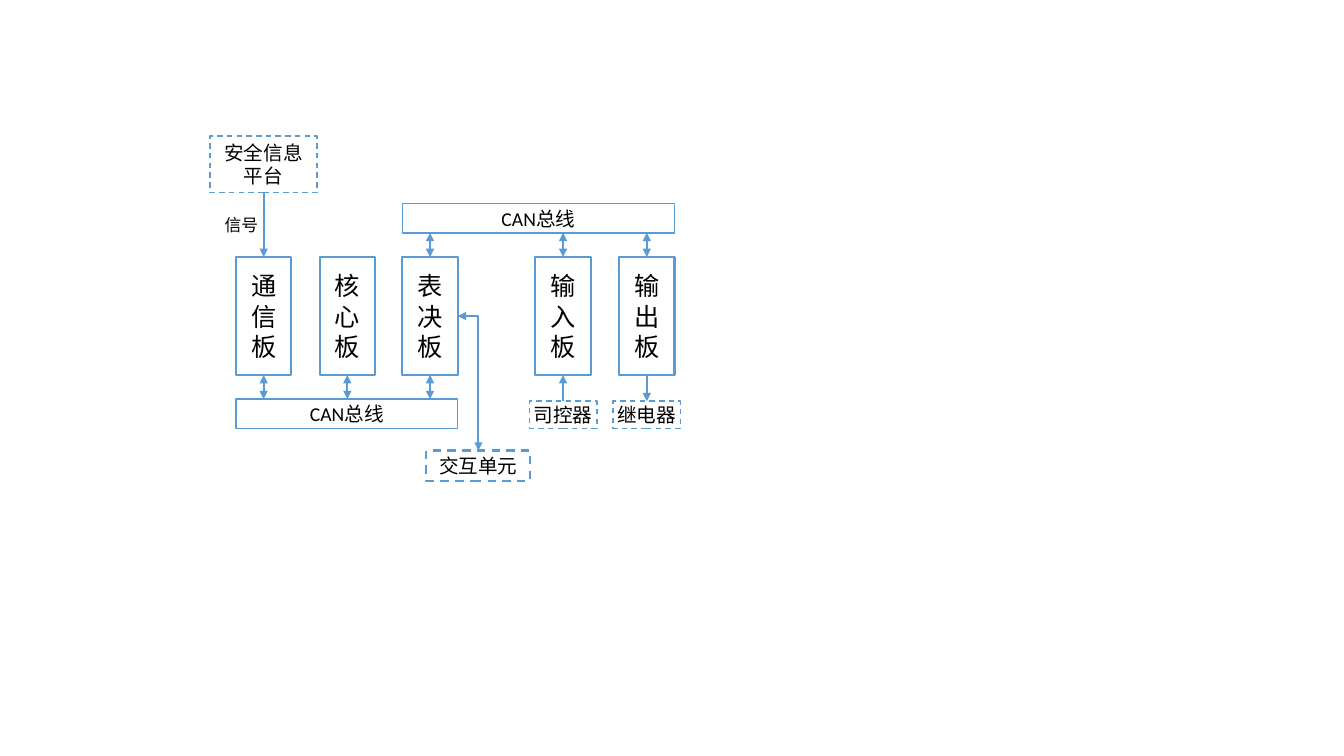
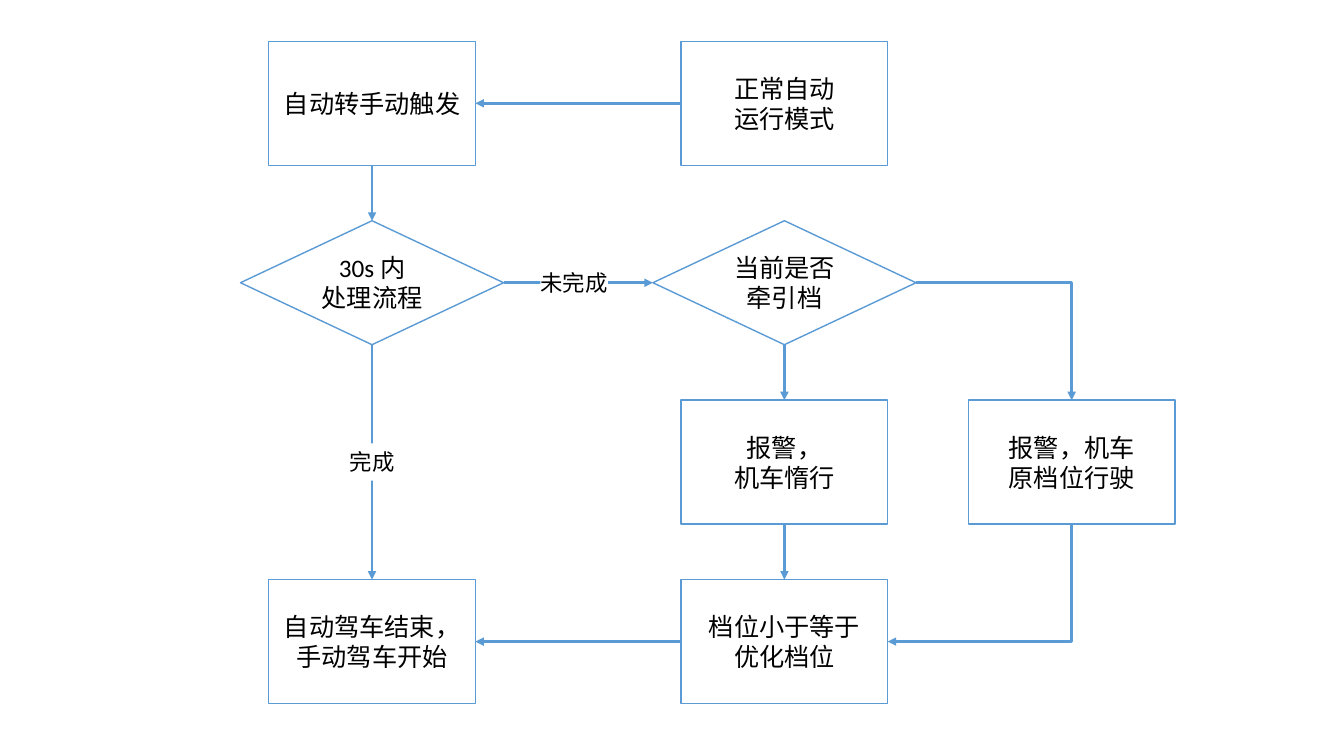
from lxml.etree import SubElement
from pptx import Presentation
from pptx.dml.color import RGBColor
from pptx.enum.dml import MSO_LINE
from pptx.enum.shapes import MSO_CONNECTOR, MSO_SHAPE
from pptx.enum.text import MSO_ANCHOR, MSO_AUTO_SIZE, PP_ALIGN
from pptx.oxml.ns import qn
from pptx.util import Inches, Pt

COLORS = {"line": "5B9BD5", "fill": "FFFFFF", "text": "000000"}
FONT = "Calibri"
TOP, LEFT, BOTTOM, RIGHT = range(4)

BOARDS = [("通信板", 2.34), ("核心板", 3.17), ("表决板", 3.99),
          ("输入板", 5.31), ("输出板", 6.14)]
BOARD_TOP, BOARD_WIDTH, BOARD_HEIGHT = 2.55, 0.55, 1.17
BUS_TEXT, BUS_HEIGHT = "CAN总线", 0.29
LOWER_BUS = (3.96, ["通信板", "核心板", "表决板"])
UPPER_BUS = (2.02, ["表决板", "输入板", "输出板"])
OUTER_UNITS = [
    ("安全信息平台", "通信板", 1.35, 1.06, 0.56, 0.1),
    ("司控器", "输入板", 3.98, 0.67, 0.27, 0.04),
    ("继电器", "输出板", 3.98, 0.67, 0.27, 0.04),
]
OUTER_LINKS = [
    ("安全信息平台", BOTTOM, "通信板", TOP),
    ("司控器", TOP, "输入板", BOTTOM),
    ("输出板", BOTTOM, "继电器", TOP),
]

COLUMN_CENTERS = [3.69, 7.78, 10.63]
FIRST_ROW, ROW_PITCH, STEP_HEIGHT = 0.41, 1.78, 1.23
STEP_WIDTH, DECISION_WIDTH = 2.05, 2.61
STEPS = {
    "trigger": (["自动转手动触发"], 0, 0),
    "normal": (["正常自动", "运行模式"], 1, 0),
    "handling": (["30s 内", "处理流程"], 0, 1),
    "traction": (["当前是否牵引档"], 1, 1),
    "coast": (["报警，", "机车惰行"], 1, 2),
    "hold": (["报警，机车", "原档位行驶"], 2, 2),
    "finish": (["自动驾车结束，手动驾车开始"], 0, 3),
    "limit": (["档位小于等于", "优化档位"], 1, 3),
}
DECISIONS = {"handling", "traction"}
FLOWS = [
    ("normal", LEFT, "trigger", RIGHT),
    ("trigger", BOTTOM, "handling", TOP),
    ("handling", BOTTOM, "finish", TOP),
    ("handling", RIGHT, "traction", LEFT),
    ("traction", BOTTOM, "coast", TOP),
    ("coast", BOTTOM, "limit", TOP),
    ("limit", LEFT, "finish", RIGHT),
]
FLOW_LABELS = [("未完成", 5.36, 2.62, 0.67), ("完成", 3.47, 4.4, 0.45)]


def color(name):
    return RGBColor.from_string(COLORS[name])


def write(frame, lines, size, align):
    frame.text = "\n".join(lines)
    for paragraph in frame.paragraphs:
        paragraph.alignment = align
        paragraph.font.size = Pt(size)
        paragraph.font.name = FONT
        paragraph.font.color.rgb = color("text")


def add_box(slide, lines, left, top, width, height, size, line_width=1,
            dashed=False, inset=0.1, preset=MSO_SHAPE.RECTANGLE):
    box = slide.shapes.add_shape(
        preset, Inches(left), Inches(top), Inches(width), Inches(height))
    box.shadow.inherit = False
    box.fill.solid()
    box.fill.fore_color.rgb = color("fill")
    box.line.color.rgb = color("line")
    box.line.width = Pt(line_width)
    if dashed:
        box.line.dash_style = MSO_LINE.DASH
    frame = box.text_frame
    frame.word_wrap = True
    frame.vertical_anchor = MSO_ANCHOR.MIDDLE
    frame.margin_left = frame.margin_right = Inches(inset)
    write(frame, lines, size, PP_ALIGN.CENTER)
    return box


def add_label(slide, text, left, top, width, height, size, inset=0.1, filled=False):
    label = slide.shapes.add_textbox(
        Inches(left), Inches(top), Inches(width), Inches(height))
    if filled:
        label.fill.solid()
        label.fill.fore_color.rgb = color("fill")
    frame = label.text_frame
    frame.word_wrap = False
    frame.auto_size = MSO_AUTO_SIZE.SHAPE_TO_FIT_TEXT
    frame.margin_left = frame.margin_right = Inches(inset)
    write(frame, [text], size, PP_ALIGN.LEFT)


def site(box, side):
    middle, center = box.left + box.width // 2, box.top + box.height // 2
    return {TOP: (middle, box.top), LEFT: (box.left, center),
            BOTTOM: (middle, box.top + box.height),
            RIGHT: (box.left + box.width, center)}[side]


def add_arrow(slide, start, end, width, ends=("tailEnd",), bent=False):
    kind = MSO_CONNECTOR.ELBOW if bent else MSO_CONNECTOR.STRAIGHT
    arrow = slide.shapes.add_connector(kind, *start, *end)
    arrow.line.color.rgb = color("line")
    arrow.line.width = Pt(width)
    properties = arrow.element.spPr
    if bent:
        properties.find(qn("a:prstGeom")).set("prst", "bentConnector2")
    outline = properties.find(qn("a:ln"))
    for end_name in ends:
        SubElement(outline, qn(f"a:{end_name}")).set("type", "triangle")
    SubElement(properties, qn("a:effectLst"))
    return arrow


def link(slide, source, source_side, target, target_side, width, **style):
    arrow = add_arrow(slide, site(source, source_side),
                      site(target, target_side), width, **style)
    arrow.begin_connect(source, source_side)
    arrow.end_connect(target, target_side)


def build_boards(slide):
    both = ("headEnd", "tailEnd")
    lefts = dict(BOARDS)
    units = {
        name: add_box(slide, [name], left, BOARD_TOP, BOARD_WIDTH,
                      BOARD_HEIGHT, 18, 1.5)
        for name, left in BOARDS
    }
    for (top, members), board_side, bus_side in (
            (LOWER_BUS, BOTTOM, TOP), (UPPER_BUS, TOP, BOTTOM)):
        left = lefts[members[0]]
        width = lefts[members[-1]] + BOARD_WIDTH - left
        bus = add_box(slide, [BUS_TEXT], left, top, width, BUS_HEIGHT, 14)
        for name in members:
            start = site(units[name], board_side)
            end = (start[0], site(bus, bus_side)[1])
            arrow = add_arrow(slide, start, end, 1.5, both)
            arrow.begin_connect(units[name], board_side)
    for name, board, top, width, height, inset in OUTER_UNITS:
        left = lefts[board] + (BOARD_WIDTH - width) / 2
        units[name] = add_box(slide, [name], left, top, width, height, 14,
                              dashed=True, inset=inset)
    for source, source_side, target, target_side in OUTER_LINKS:
        link(slide, units[source], source_side, units[target], target_side, 1.5)
    add_label(slide, "信号", 2.13, 2.08, 0.54, 0.3, 12)
    interaction = add_box(slide, ["交互单元"], 4.23, 4.47, 1.03, 0.3, 14, 1.5,
                          dashed=True)
    link(slide, units["表决板"], RIGHT, interaction, TOP, 1.5, ends=both, bent=True)


def build_flow(slide):
    steps = {}
    for name, (lines, column, row) in STEPS.items():
        decides = name in DECISIONS
        width = DECISION_WIDTH if decides else STEP_WIDTH
        preset = MSO_SHAPE.FLOWCHART_DECISION if decides else MSO_SHAPE.RECTANGLE
        steps[name] = add_box(
            slide, lines, COLUMN_CENTERS[column] - width / 2,
            FIRST_ROW + row * ROW_PITCH, width, STEP_HEIGHT, 18, preset=preset)
    for source, source_side, target, target_side in FLOWS:
        link(slide, steps[source], source_side, steps[target], target_side, 2)
    link(slide, steps["traction"], RIGHT, steps["hold"], TOP, 2, bent=True)
    link(slide, steps["limit"], RIGHT, steps["hold"], BOTTOM, 2,
         ends=("headEnd",), bent=True)
    for text, left, top, width in FLOW_LABELS:
        add_label(slide, text, left, top, width, 0.37, 16, inset=0, filled=True)


def main():
    deck = Presentation()
    deck.slide_width, deck.slide_height = Inches(13.33), Inches(7.5)
    for build in (build_boards, build_flow):
        build(deck.slides.add_slide(deck.slide_layouts[6]))
    deck.save("out.pptx")


if __name__ == "__main__":
    main()
